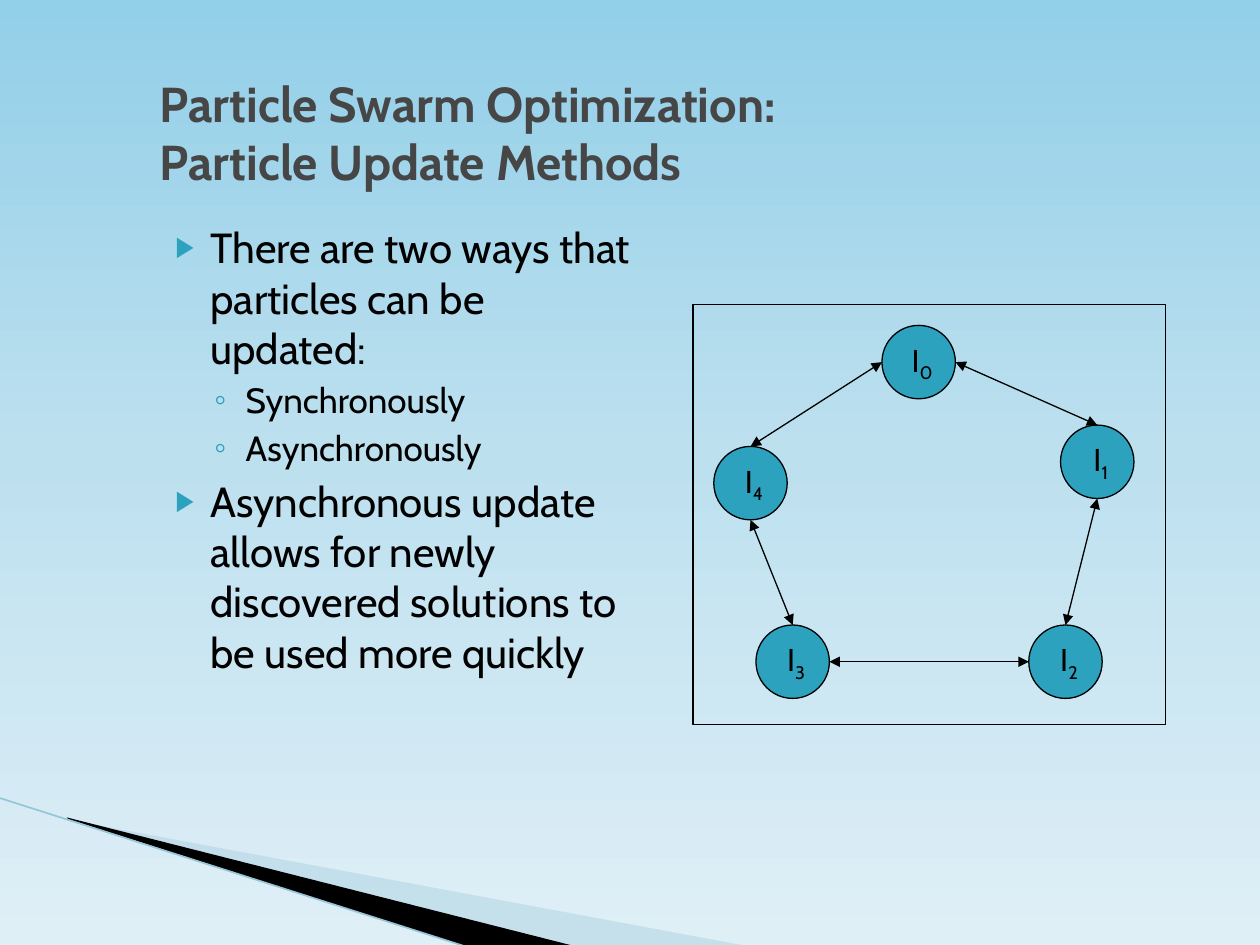
"""Build the slide on particle update methods in swarm optimization."""
from copy import deepcopy

from lxml import etree
from pptx import Presentation
from pptx.dml.color import RGBColor
from pptx.enum.shapes import MSO_CONNECTOR, MSO_SHAPE
from pptx.enum.text import MSO_ANCHOR, MSO_AUTO_SIZE, PP_ALIGN
from pptx.oxml.ns import qn
from pptx.util import Cm, Pt

LINE = MSO_CONNECTOR.STRAIGHT
OVAL, RECT = MSO_SHAPE.OVAL, MSO_SHAPE.RECTANGLE
MIDDLE, TOP = MSO_ANCHOR.MIDDLE, MSO_ANCHOR.TOP
LEFT, CENTER = PP_ALIGN.LEFT, PP_ALIGN.CENTER
FIXED = MSO_AUTO_SIZE.NONE
BLACK = RGBColor(0x00, 0x00, 0x00)
GREY = RGBColor(0x46, 0x46, 0x46)
TEAL = RGBColor(0x2D, 0xA2, 0xBF)
PALE = RGBColor(0xA0, 0xCB, 0xDC)
EDGE = RGBColor(0x97, 0xC5, 0xD8)
SKY = [(0, RGBColor(0x92, 0xCF, 0xE8)), (0.48, RGBColor(0xBD, 0xE0, 0xEF)),
       (1, RGBColor(0xDF, 0xEF, 0xF6))]
FONT = "Cabin"


def style(font, size, color):
    font.name, font.size = FONT, Pt(size)
    font.color.rgb = color


def draw_line(start, end, color, width):
    line = slide.shapes.add_connector(LINE, *start, *end)
    line.line.color.rgb = color
    line.line.width = Pt(width)
    etree.SubElement(line._element.spPr, qn("a:effectLst"))
    return line


deck = Presentation()
deck.slide_width, deck.slide_height = Cm(25.4), Cm(19.05)
slide = deck.slides.add_slide(deck.slide_layouts[1])

fill = slide.background.fill
fill.gradient()
fill.gradient_angle = 270
stops = slide.element.xpath(".//a:gsLst")[0]
stops.append(deepcopy(stops[0]))
for stop, (place, color) in zip(fill.gradient_stops, SKY):
    stop.position = place
    stop.color.rgb = color

WEDGES = [
    (PALE, [(1.4, 16.53), (15.11, 19.08), (11.58, 19.08), (1.4, 16.51)]),
    (BLACK, [(1.35, 16.48), (11.61, 19.08), (9.45, 19.1), (1.37, 16.51)]),
]
for color, points in WEDGES:
    points = [(Cm(x), Cm(y)) for x, y in points]
    pen = slide.shapes.build_freeform(*points[0])
    pen.add_line_segments(points[1:])
    wedge = pen.convert_to_shape()
    wedge.shadow.inherit = False
    wedge.fill.solid()
    wedge.fill.fore_color.rgb = color
    wedge.line.fill.background()
    if color == PALE:
        tint = wedge._element.spPr.find(qn("a:solidFill"))[0]
        etree.SubElement(tint, qn("a:alpha"), val="40000")
draw_line((Cm(-0.03), Cm(16.08)), (Cm(9.45), Cm(19.1)), EDGE, 0.95)

title, body = slide.placeholders
title.left, title.top, title.width, title.height = Cm(2.97), Cm(1.07), Cm(21.16), Cm(3.18)
frame = title.text_frame
frame.text = "Particle Swarm Optimization:\vParticle Update Methods"
frame.auto_size = FIXED
frame.vertical_anchor = MIDDLE
head = frame.paragraphs[0]
head.alignment = LEFT
for run in head.runs:
    style(run.font, 28, GREY)
    run.font.bold = True

LIST = [
    (0, "There are two ways that particles can be updated:"),
    (1, "Synchronously"),
    (1, "Asynchronously"),
    (0, "Asynchronous update allows for newly discovered solutions to be used more quickly"),
]
LEVELS = [(24, 1.02, 0.71, 4, "▶", 68), (20, 1.73, 0.64, 3.2, "◦", 100)]
body.left, body.top, body.width, body.height = Cm(2.97), Cm(4.34), Cm(10.36), Cm(11.43)
frame = body.text_frame
frame.text = "\n".join(text for level, text in LIST)
frame.auto_size = FIXED
frame.vertical_anchor = TOP
for index, (para, (level, text)) in enumerate(zip(frame.paragraphs, LIST)):
    size, margin, hang, gap, mark, scale = LEVELS[level]
    para.level = level
    para.space_before = Pt(gap if index else 0)
    props = para._p.get_or_add_pPr()
    props.set("marL", str(Cm(margin)))
    props.set("indent", str(-Cm(hang)))
    tint = etree.SubElement(props, qn("a:buClr"))
    etree.SubElement(tint, qn("a:srgbClr"), val=str(TEAL))
    etree.SubElement(props, qn("a:buSzPct"), val=str(scale * 1000))
    etree.SubElement(props, qn("a:buChar"), char=mark)
    style(para.runs[0].font, size, BLACK)

SIZE = Cm(1.48)
SPOTS = [(17.78, 6.56), (21.38, 8.57), (20.74, 12.6), (15.24, 12.6), (14.39, 9)]
nodes = []
for index, (x, y) in enumerate(SPOTS):
    node = slide.shapes.add_shape(OVAL, Cm(x), Cm(y), SIZE, SIZE)
    node.shadow.inherit = False
    node.fill.solid()
    node.fill.fore_color.rgb = TEAL
    node.line.color.rgb = BLACK
    node.line.width = Pt(0.75)
    frame = node.text_frame
    frame.word_wrap = False
    frame.vertical_anchor = MIDDLE
    para = frame.paragraphs[0]
    para.alignment = CENTER
    for text in (" I", str(index)):
        run = para.add_run()
        run.text = text
        style(run.font, 18, BLACK)
    run._r.get_or_add_rPr().set("baseline", "-25000")
    nodes.append(node)

SIDES = {"top": (0.5, 0), "left": (0, 0.5), "bottom": (0.5, 1), "right": (1, 0.5)}
LINKS = [(0, "left", 4, "top"), (3, "right", 2, "left"), (2, "top", 1, "bottom"),
         (1, "top", 0, "right"), (4, "bottom", 3, "top")]
for first, out, last, into in LINKS:
    ends = []
    for index, side in ((first, out), (last, into)):
        node, (across, down) = nodes[index], SIDES[side]
        ends.append((int(node.left + across * SIZE), int(node.top + down * SIZE)))
    link = draw_line(*ends, BLACK, 0.75)
    stroke = link.line._get_or_add_ln()
    for tip in ("a:headEnd", "a:tailEnd"):
        etree.SubElement(stroke, qn(tip), type="triangle")

border = slide.shapes.add_shape(RECT, Cm(13.97), Cm(6.14), Cm(9.53), Cm(8.47))
border.shadow.inherit = False
border.fill.background()
border.line.color.rgb = BLACK
border.line.width = Pt(0.75)

deck.save("out.pptx")
